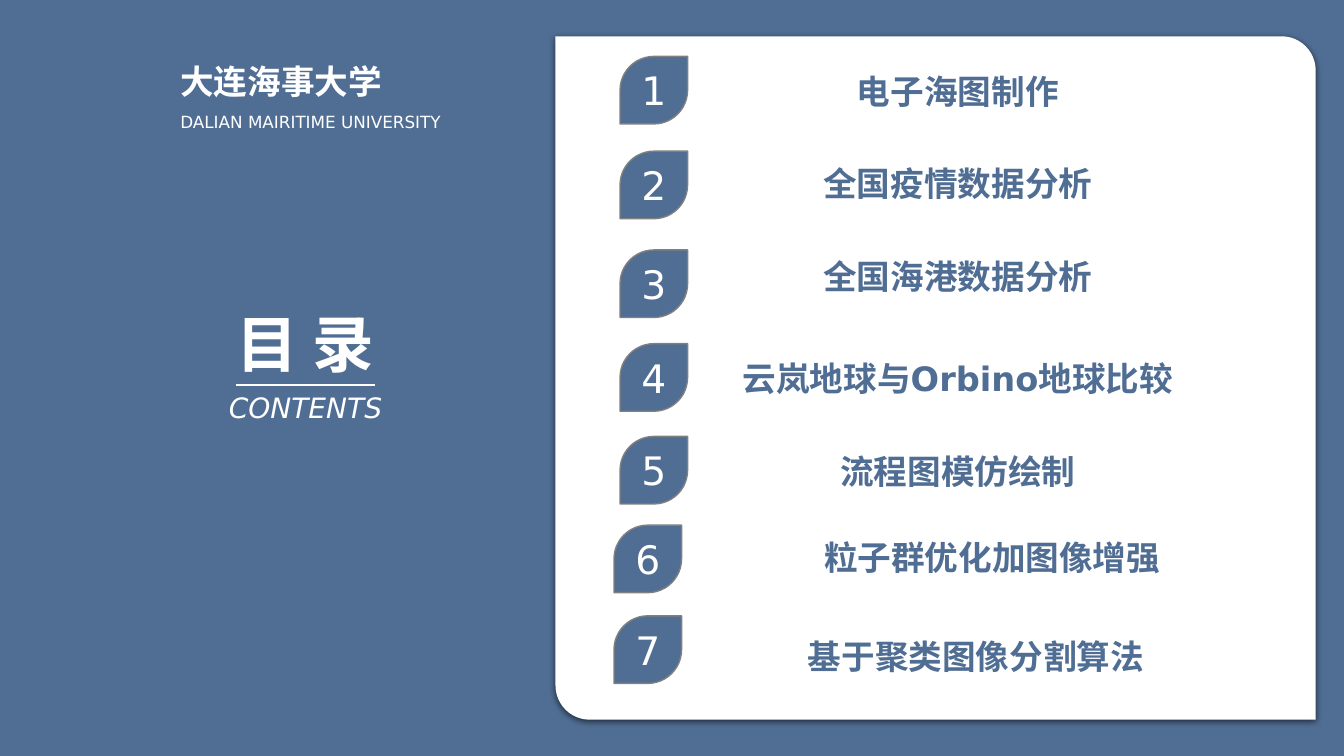
from dataclasses import dataclass

from lxml import etree
from pptx import Presentation
from pptx.dml.color import RGBColor
from pptx.enum.shapes import MSO_CONNECTOR, MSO_SHAPE
from pptx.enum.text import MSO_ANCHOR, MSO_AUTO_SIZE, PP_ALIGN
from pptx.oxml.ns import qn
from pptx.shapes.autoshape import Shape
from pptx.slide import Slide
from pptx.util import Inches, Pt

LEAF = MSO_SHAPE.ROUND_2_DIAG_RECTANGLE
STRAIGHT = MSO_CONNECTOR.STRAIGHT
TOP, MIDDLE = MSO_ANCHOR.TOP, MSO_ANCHOR.MIDDLE
LEFT, CENTER = PP_ALIGN.LEFT, PP_ALIGN.CENTER
NO_AUTOFIT = MSO_AUTO_SIZE.NONE

BLUE = RGBColor(0x50, 0x6E, 0x94)
WHITE = RGBColor(0xFF, 0xFF, 0xFF)
GRAY = RGBColor(0x80, 0x80, 0x80)
FONT = "DejaVu Sans"

ITEM_WIDTH, ITEM_HEIGHT = 5.66, 0.5
BADGE_SIZE = 0.67

HEADING_FORMAT = {"size": Pt(44), "bold": True}
CONTENTS_FORMAT = {"size": Pt(20), "italic": True}
SCHOOL_FORMAT = {"size": Pt(24), "bold": True}
ENGLISH_FORMAT = {"size": Pt(12)}
ITEM_FORMAT = {"size": Pt(24), "bold": True}
BADGE_FORMAT = {"size": Pt(28)}


@dataclass
class Label:
    text: str
    left: float
    top: float
    width: float
    height: float
    align: PP_ALIGN
    format: dict


@dataclass
class Item:
    text: str
    badge_left: float
    badge_top: float
    text_left: float
    text_top: float


LABELS = [
    Label("CONTENTS", 1.72, 3.82, 2.62, 0.44, CENTER, CONTENTS_FORMAT),
    Label("大连海事大学", 1.69, 0.56, 5.66, 0.5, LEFT, SCHOOL_FORMAT),
    Label("DALIAN MAIRITIME UNIVERSITY", 1.69, 1.06, 5.66, 0.3, LEFT, ENGLISH_FORMAT),
]

ITEMS = [
    Item("电子海图制作", 6.15, 0.56, 6.67, 0.65),
    Item("全国疫情数据分析", 6.15, 1.5, 6.67, 1.57),
    Item("全国海港数据分析", 6.15, 2.48, 6.67, 2.49),
    Item("云岚地球与Orbino地球比较", 6.15, 3.41, 6.67, 3.5),
    Item("流程图模仿绘制", 6.15, 4.33, 6.67, 4.42),
    Item("粒子群优化加图像增强", 6.09, 5.21, 7.01, 5.28),
    Item("基于聚类图像分割算法", 6.09, 6.11, 6.85, 6.26),
]


def write(box: Shape, text: str, color: RGBColor, align: PP_ALIGN,
          anchor: MSO_ANCHOR, format_values: dict) -> None:
    frame = box.text_frame
    frame.word_wrap = True
    frame.auto_size = NO_AUTOFIT
    frame.vertical_anchor = anchor
    para = frame.paragraphs[0]
    para.alignment = align
    span = para.add_run()
    span.text = text
    span.font.name = FONT
    span.font.color.rgb = color
    for name, value in format_values.items():
        setattr(span.font, name, value)


def add_label(page: Slide, label: Label, color: RGBColor) -> None:
    box = page.shapes.add_textbox(Inches(label.left), Inches(label.top),
                                  Inches(label.width), Inches(label.height))
    write(box, label.text, color, label.align, TOP, label.format)


def add_panel(page: Slide) -> None:
    panel = page.shapes.add_shape(LEAF, Inches(5.51), Inches(0.36),
                                  Inches(7.54), Inches(6.78))
    panel.adjustments[0] = 0
    panel.adjustments[1] = 0.05
    panel.fill.solid()
    panel.fill.fore_color.rgb = WHITE
    panel.line.fill.background()
    panel.shadow.inherit = False
    effects = panel._element.spPr.find(qn("a:effectLst"))
    shadow = etree.SubElement(effects, qn("a:outerShdw"), blurRad=str(Pt(4.5)),
                              dist=str(Pt(1.5)), dir="5400000", rotWithShape="0")
    tint = etree.SubElement(shadow, qn("a:srgbClr"), val="000000")
    etree.SubElement(tint, qn("a:alpha"), val="63000")


def add_item(page: Slide, number: int, item: Item) -> None:
    badge = page.shapes.add_shape(LEAF, Inches(item.badge_left), Inches(item.badge_top),
                                  Inches(BADGE_SIZE), Inches(BADGE_SIZE))
    badge.adjustments[0] = 0.5
    badge.adjustments[1] = 0
    badge.fill.solid()
    badge.fill.fore_color.rgb = BLUE
    badge.line.color.rgb = GRAY
    badge.line.width = Pt(1)
    badge.shadow.inherit = False
    write(badge, str(number), WHITE, CENTER, MIDDLE, BADGE_FORMAT)
    add_label(page, Label(item.text, item.text_left, item.text_top, ITEM_WIDTH,
                          ITEM_HEIGHT, CENTER, ITEM_FORMAT), BLUE)


def add_heading(page: Slide) -> None:
    title = page.shapes.title
    title.left, title.top = Inches(1.72), Inches(2.98)
    title.width, title.height = Inches(2.62), Inches(0.84)
    write(title, "目 录", WHITE, CENTER, TOP, HEADING_FORMAT)
    rule = page.shapes.add_connector(STRAIGHT, Inches(2.34), Inches(3.82),
                                     Inches(3.72), Inches(3.82))
    rule.line.color.rgb = WHITE
    rule.line.width = Pt(1.5)
    etree.SubElement(rule._element.spPr, qn("a:effectLst"))


def main() -> None:
    deck = Presentation()
    deck.slide_width, deck.slide_height = Inches(13.33), Inches(7.5)
    page = deck.slides.add_slide(deck.slide_layouts.get_by_name("Title Only"))
    page.background.fill.solid()
    page.background.fill.fore_color.rgb = BLUE

    # White panel and left column
    add_panel(page)
    add_heading(page)
    for label in LABELS:
        add_label(page, label, WHITE)

    # Numbered contents
    for number, item in enumerate(ITEMS, start=1):
        add_item(page, number, item)

    deck.save("out.pptx")


if __name__ == "__main__":
    main()
